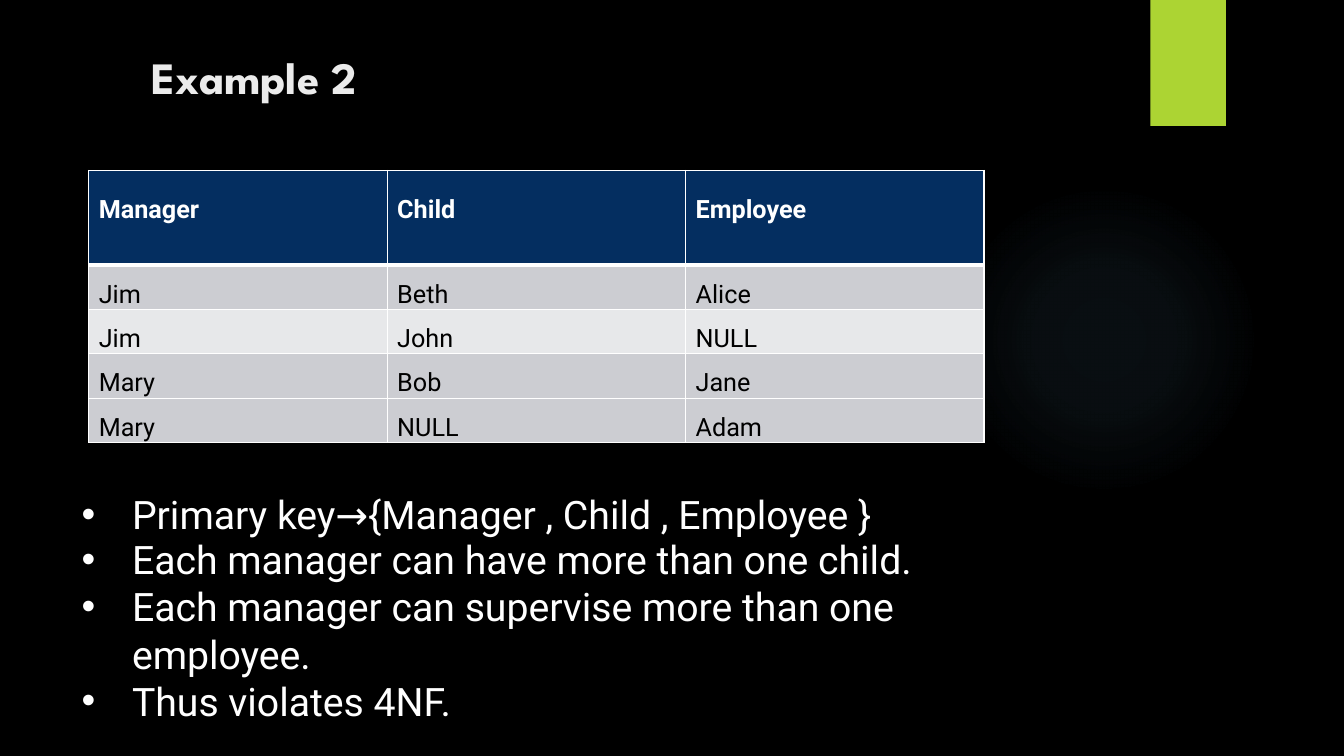
import pptx
import pptx.dml.color
import pptx.enum.shapes
import pptx.enum.text
import pptx.oxml
import pptx.oxml.ns
import pptx.util
from dataclasses import dataclass

Inches, Pt = pptx.util.Inches, pptx.util.Pt
SHAPE = pptx.enum.shapes.MSO_SHAPE
ANCHOR = pptx.enum.text.MSO_ANCHOR

TITLE = "Example 2"
HEADER = ("Manager", "Child", "Employee")
RECORDS = [
    ("Jim", "Beth", "Alice"),
    ("Jim", "John", "NULL"),
    ("Mary", "Bob", "Jane"),
    ("Mary", "NULL", "Adam"),
]
# Text and line spacing
FINDINGS = [
    ("Primary key→{Manager , Child , Employee }", Pt(32.1)),
    ("Each manager can have more than one child.", Pt(32.1)),
    ("Each manager can supervise more than one employee.", 1.0),
    ("Thus violates 4NF.", 1.0),
]


@dataclass(frozen=True)
class Theme:
    background: str = "000000"
    accent: str = "ACD433"
    glow: str = "7AC4F0"
    title: str = "EBEBEB"
    light: str = "FFFFFF"
    dark: str = "000000"
    header: str = "042E60"
    bands: tuple = ("CCCDD2", "E7E8EA", "CCCDD2", "CCCDD2")
    title_font: str = "League Spartan"
    body_font: str = "Roboto"
    title_size: int = 32
    table_size: int = 18
    findings_size: int = 28


THEME = Theme()


def rgb(value):
    return pptx.dml.color.RGBColor.from_string(value)


def xml(tag, attributes="", content=""):
    namespace = pptx.oxml.ns.nsdecls("a")
    return pptx.oxml.parse_xml(f"<a:{tag} {namespace} {attributes}>{content}</a:{tag}>")


def style(paragraph, name, size, color, bold=False):
    font = paragraph.font
    font.name, font.size, font.bold = name, Pt(size), bold
    font.color.rgb = rgb(color)


def add_plain_shape(slide, kind, left, top, width, height, color):
    shape = slide.shapes.add_shape(
        kind, Inches(left), Inches(top), Inches(width), Inches(height))
    shape.shadow.inherit = False
    shape.line.fill.background()
    shape.fill.solid()
    shape.fill.fore_color.rgb = rgb(color)
    return shape


def add_glow(slide):
    """Add a disc whose colour fades out from its centre."""
    disc = add_plain_shape(slide, SHAPE.OVAL, 9.41, 1.83, 3.08, 3.08, THEME.glow)
    stops = "".join(
        f'<a:gs pos="{position * 1000}"><a:srgbClr val="{THEME.glow}">'
        f'<a:alpha val="{alpha * 1000}"/></a:srgbClr></a:gs>'
        for position, alpha in ((0, 7), (36, 6), (69, 0), (100, 0)))
    center = '<a:fillToRect l="50000" t="50000" r="50000" b="50000"/>'
    gradient = xml("gradFill", 'rotWithShape="1"',
                   f'<a:gsLst>{stops}</a:gsLst><a:path path="circle">{center}</a:path>')
    properties = disc.element.spPr
    solid = properties.find(pptx.oxml.ns.qn("a:solidFill"))
    properties.replace(solid, gradient)


def add_title(slide):
    title = slide.shapes.title
    title.left, title.top = Inches(1.4), Inches(0.44)
    title.width, title.height = Inches(7.85), Inches(1.25)
    frame = title.text_frame
    frame.text = TITLE
    frame.vertical_anchor = ANCHOR.TOP
    frame.paragraphs[0].alignment = pptx.enum.text.PP_ALIGN.LEFT
    style(frame.paragraphs[0], THEME.title_font, THEME.title_size, THEME.title, True)


def set_borders(cell, top, bottom):
    """Draw the four borders; top and bottom are widths in points."""
    properties = cell._tc.get_or_add_tcPr()
    sides = (("lnL", 1), ("lnR", 1), ("lnT", top), ("lnB", bottom))
    for place, (side, width) in enumerate(sides):
        fill = f'<a:solidFill><a:srgbClr val="{THEME.light}"/></a:solidFill>'
        properties.insert(place, xml(side, f'w="{Pt(width)}"', fill))


def add_family_table(slide):
    rows = [HEADER] + RECORDS
    table = slide.shapes.add_table(
        len(rows), len(HEADER), Inches(0.88), Inches(1.69),
        Inches(8.89), Inches(2.58)).table
    table.first_row = table.horz_banding = False
    for column in table.columns:
        column.width = Inches(2.96)
    for r, values in enumerate(rows):
        is_header = r == 0
        table.rows[r].height = Inches(0.94 if is_header else 0.41)
        for c, value in enumerate(values):
            cell = table.cell(r, c)
            cell.margin_left, cell.margin_right = Inches(0.1), 0
            cell.margin_top, cell.margin_bottom = Inches(0.27 if is_header else 0), 0
            cell.fill.solid()
            cell.fill.fore_color.rgb = rgb(THEME.header if is_header else THEME.bands[r - 1])
            set_borders(cell, 3 if r == 1 else 1, 3 if is_header else 1)
            cell.text = value
            paragraph = cell.text_frame.paragraphs[0]
            paragraph.line_spacing = Pt(19.4) if is_header else 1.5
            style(paragraph, THEME.body_font, THEME.table_size,
                  THEME.light if is_header else THEME.dark, is_header)


def add_findings(slide):
    frame = slide.shapes.add_textbox(
        Inches(0.8), Inches(4.87), Inches(9.87), Inches(1.85)).text_frame
    frame.word_wrap = True
    frame.margin_left = frame.margin_right = frame.margin_bottom = 0
    frame.margin_top = Inches(0.02)
    for i, (text, spacing) in enumerate(FINDINGS):
        paragraph = frame.add_paragraph() if i else frame.paragraphs[0]
        paragraph.text = text
        paragraph.line_spacing = spacing
        properties = paragraph._p.get_or_add_pPr()
        properties.set("marL", str(Inches(0.51)))
        properties.set("indent", str(Inches(-0.5)))
        properties.append(xml("buFont", 'typeface="Arial"'))
        properties.append(xml("buChar", 'char="•"'))
        style(paragraph, THEME.body_font, THEME.findings_size, THEME.light)


def main():
    deck = pptx.Presentation()
    deck.slide_width, deck.slide_height = Inches(13.33), Inches(7.5)
    slide = deck.slides.add_slide(deck.slide_layouts[5])
    slide.background.fill.solid()
    slide.background.fill.fore_color.rgb = rgb(THEME.background)
    add_glow(slide)
    add_plain_shape(slide, SHAPE.RECTANGLE, 11.41, 0, 0.75, 1.25, THEME.accent)
    add_title(slide)
    add_family_table(slide)
    add_findings(slide)
    deck.save("out.pptx")


if __name__ == "__main__":
    main()
